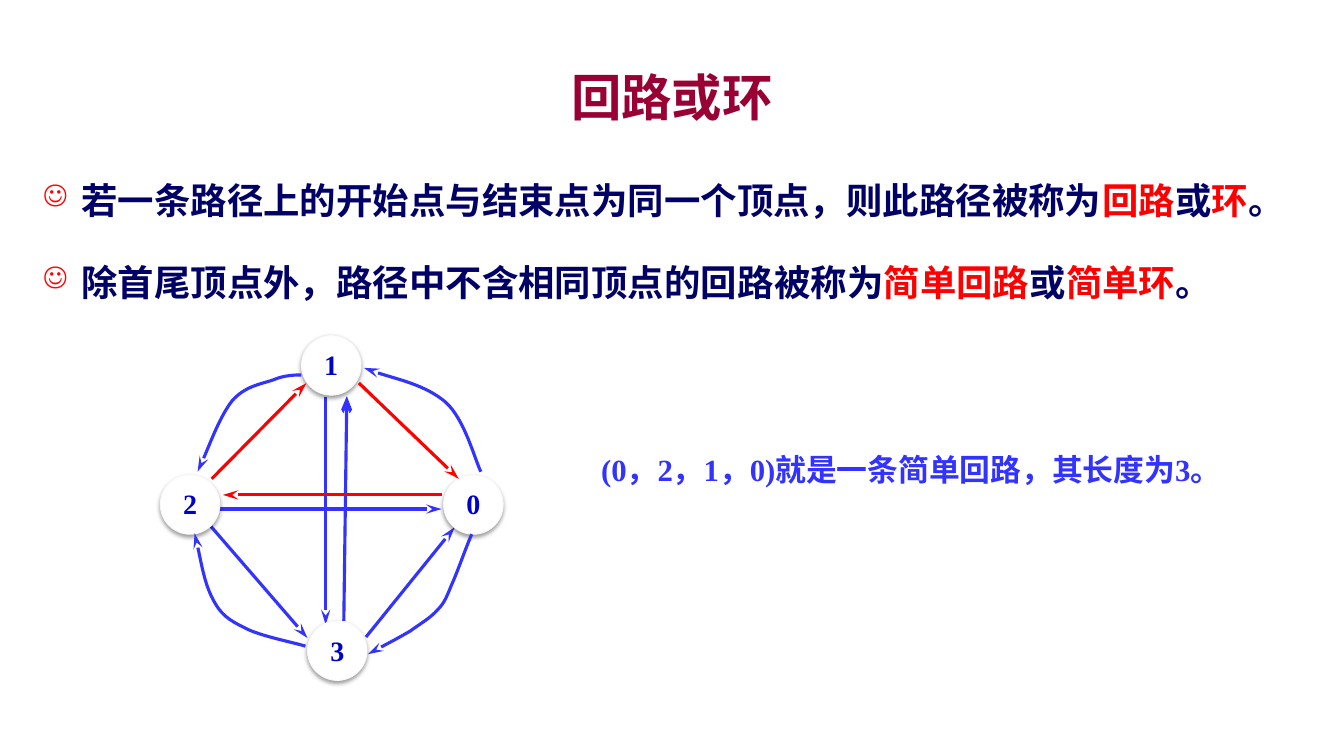
from lxml.etree import SubElement
from pptx import Presentation
from pptx.dml.color import RGBColor
from pptx.enum.shapes import MSO_CONNECTOR, MSO_SHAPE
from pptx.enum.text import MSO_ANCHOR, MSO_AUTO_SIZE, PP_ALIGN
from pptx.oxml.ns import qn
from pptx.util import Inches, Pt

WHITE = RGBColor(0xFF, 0xFF, 0xFF)
RIM = RGBColor(0xF9, 0xF9, 0xF9)
MAROON = RGBColor(0x99, 0x00, 0x33)
NAVY = RGBColor(0x00, 0x00, 0x66)
RED = RGBColor(0xFF, 0x00, 0x00)
BLUE = RGBColor(0x33, 0x33, 0xFF)
DIGIT = RGBColor(0x00, 0x00, 0xCC)

SANS, SERIF, FALLBACK = "Noto Sans CJK SC", "Times New Roman", "DejaVu Sans"
NODE_SIZE = 0.59

NODES = {"1": (2.99, 3.33), "0": (4.4, 4.71), "2": (1.59, 4.71), "3": (3.05, 6.16)}

# start, end, head
EDGES = [
    ((3.23, 3.94), (3.23, 6.2), "stealth"),
    ((3.41, 6.16), (3.44, 3.93), "arrow"),
    ((2.17, 5.05), (4.38, 5.05), "stealth"),
    ((2.09, 5.22), (3.05, 6.33), "stealth"),
    ((3.63, 6.32), (4.51, 5.23), "stealth"),
]
CYCLE = [
    ((4.38, 4.91), (2.21, 4.91)),
    ((2.1, 4.75), (3.04, 3.8)),
    ((3.56, 3.8), (4.55, 4.75)),
]
# Each arc is a start point followed by triples of Bezier points
ARCS = [
    [(4.68, 5.3), (4.64, 5.38), (4.54, 5.67), (4.48, 5.8),
     (4.43, 5.92), (4.41, 5.98), (4.34, 6.05),
     (4.27, 6.13), (4.18, 6.18), (4.07, 6.26),
     (3.95, 6.33), (3.74, 6.44), (3.65, 6.49)],
    [(2.99, 3.72), (2.94, 3.72), (2.82, 3.72), (2.71, 3.77),
     (2.59, 3.81), (2.43, 3.83), (2.3, 3.98),
     (2.18, 4.14), (2.03, 4.54), (1.96, 4.68)],
    [(3.03, 6.41), (2.9, 6.37), (2.58, 6.31), (2.43, 6.23),
     (2.27, 6.15), (2.19, 6.1), (2.11, 5.94),
     (2.03, 5.79), (1.96, 5.4), (1.93, 5.29)],
    [(4.77, 4.68), (4.71, 4.56), (4.61, 4.16), (4.42, 3.99),
     (4.22, 3.82), (3.77, 3.72), (3.61, 3.65)],
]

DEFINITIONS = [
    [("若一条路径上的开始点与结束点为同一个顶点，则此路径被称为", NAVY, SANS),
     ("回路", RED, SANS), ("或", NAVY, SANS), ("环", RED, SANS), ("。", NAVY, SANS)],
    [("除首尾顶点外，路径中不含相同顶点的回路", NAVY, FALLBACK), ("被称为", NAVY, SANS),
     ("简单回路", RED, SANS), ("或", NAVY, SANS), ("简单环", RED, SANS), ("。", NAVY, SANS)],
]


def apply(target, values):
    for name, value in values.items():
        setattr(target, name, value)


class GraphSlide:
    def __init__(self, slide):
        self.shapes = slide.shapes
        self.line_width = Pt(2.25)

    def run(self, paragraph, text, size, color, font):
        run = paragraph.add_run()
        run.text = text
        apply(run.font, {"size": Pt(size), "bold": True, "name": font})
        run.font.color.rgb = color
        SubElement(run.font._element, qn("a:ea"), typeface=SANS)

    def text_box(self, left, top, width, height, **frame_format):
        box = self.shapes.add_textbox(*map(Inches, (left, top, width, height)))
        apply(box.text_frame, {"word_wrap": True, **frame_format})
        return box.text_frame

    def centred_text(self, frame, text, size, color, font, **paragraph_format):
        paragraph = frame.paragraphs[0]
        apply(paragraph, {"alignment": PP_ALIGN.CENTER, **paragraph_format})
        self.run(paragraph, text, size, color, font)

    def bullets(self, frame, items, size):
        for index, parts in enumerate(items):
            paragraph = frame.add_paragraph() if index else frame.paragraphs[0]
            apply(paragraph, {"line_spacing": 1.5, "space_after": Pt(6)})
            if index:
                paragraph.space_before = Pt(6)
            props = paragraph._p.get_or_add_pPr()
            props.set("marL", str(Inches(0.38)))
            props.set("indent", str(-Inches(0.38)))
            bullet_color = SubElement(props, qn("a:buClr"))
            SubElement(bullet_color, qn("a:srgbClr"), val=str(RED))
            SubElement(props, qn("a:buSzPct"), val="80000")
            SubElement(props, qn("a:buChar"), char="☺")
            for text, color, font in parts:
                self.run(paragraph, text, size, color, font)

    def node(self, label, left, top):
        circle = self.shapes.add_shape(
            MSO_SHAPE.OVAL, *map(Inches, (left, top, NODE_SIZE, NODE_SIZE)))
        circle.fill.solid()
        circle.fill.fore_color.rgb = WHITE
        circle.line.color.rgb = RIM
        circle.line.width = Pt(0.75)
        circle.shadow.inherit = False
        effects = circle._element.spPr.find(qn("a:effectLst"))
        shadow = SubElement(effects, qn("a:outerShdw"), blurRad=str(Pt(3.1)),
                            dist=str(Pt(1.6)), dir="5400000", rotWithShape="0")
        shade = SubElement(shadow, qn("a:srgbClr"), val="000000")
        SubElement(shade, qn("a:alpha"), val="38000")
        apply(circle.text_frame, {
            "margin_left": 0, "margin_right": 0, "margin_bottom": 0,
            "margin_top": Inches(0.12), "vertical_anchor": MSO_ANCHOR.TOP})
        self.centred_text(circle.text_frame, label, 20, DIGIT, SERIF, line_spacing=0.72)

    def arrow_line(self, line, color, head):
        line.color.rgb = color
        line.width = self.line_width
        SubElement(line._get_or_add_ln(), qn("a:tailEnd"), type=head, w="med", len="lg")

    def edge(self, start, end, color, head="stealth"):
        edge = self.shapes.add_connector(
            MSO_CONNECTOR.STRAIGHT, *map(Inches, (*start, *end)))
        self.arrow_line(edge.line, color, head)
        SubElement(edge._element.spPr, qn("a:effectLst"))

    def arc(self, points, color):
        """Draw a chain of Bezier curves that ends in an arrowhead."""
        start, *rest = [tuple(map(Inches, point)) for point in points]
        builder = self.shapes.build_freeform(*start)
        builder.add_line_segments(rest, close=False)
        arc = builder.convert_to_shape()
        outline = next(arc._element.iter(qn("a:path")))
        steps = outline.findall(qn("a:lnTo"))
        for first in range(0, len(steps), 3):
            curve = SubElement(outline, qn("a:cubicBezTo"))
            for step in steps[first:first + 3]:
                curve.append(step[0])
                outline.remove(step)
        arc.fill.background()
        arc.shadow.inherit = False
        self.arrow_line(arc.line, color, "stealth")


def main():
    deck = Presentation()
    deck.slide_width, deck.slide_height = Inches(13.33), Inches(7.5)
    page = GraphSlide(deck.slides.add_slide(deck.slide_layouts[6]))

    title = page.text_box(1, 0.58, 11.33, 0.75, vertical_anchor=MSO_ANCHOR.MIDDLE)
    page.centred_text(title, "回路或环", 36, MAROON, SANS)
    page.bullets(page.text_box(0.33, 1.5, 12.67, 1.83), DEFINITIONS, 26)

    for start, end, head in EDGES:
        page.edge(start, end, BLUE, head)
    for label, (left, top) in NODES.items():
        page.node(label, left, top)
    for points in ARCS:
        page.arc(points, BLUE)
    for start, end in CYCLE:
        page.edge(start, end, RED)

    caption = page.text_box(5.5, 4.42, 7, 0.47, auto_size=MSO_AUTO_SIZE.SHAPE_TO_FIT_TEXT)
    page.centred_text(caption, " (0，2，1，0)就是一条简单回路，其长度为3。", 22, BLUE, SERIF)
    deck.save("out.pptx")


if __name__ == "__main__":
    main()
